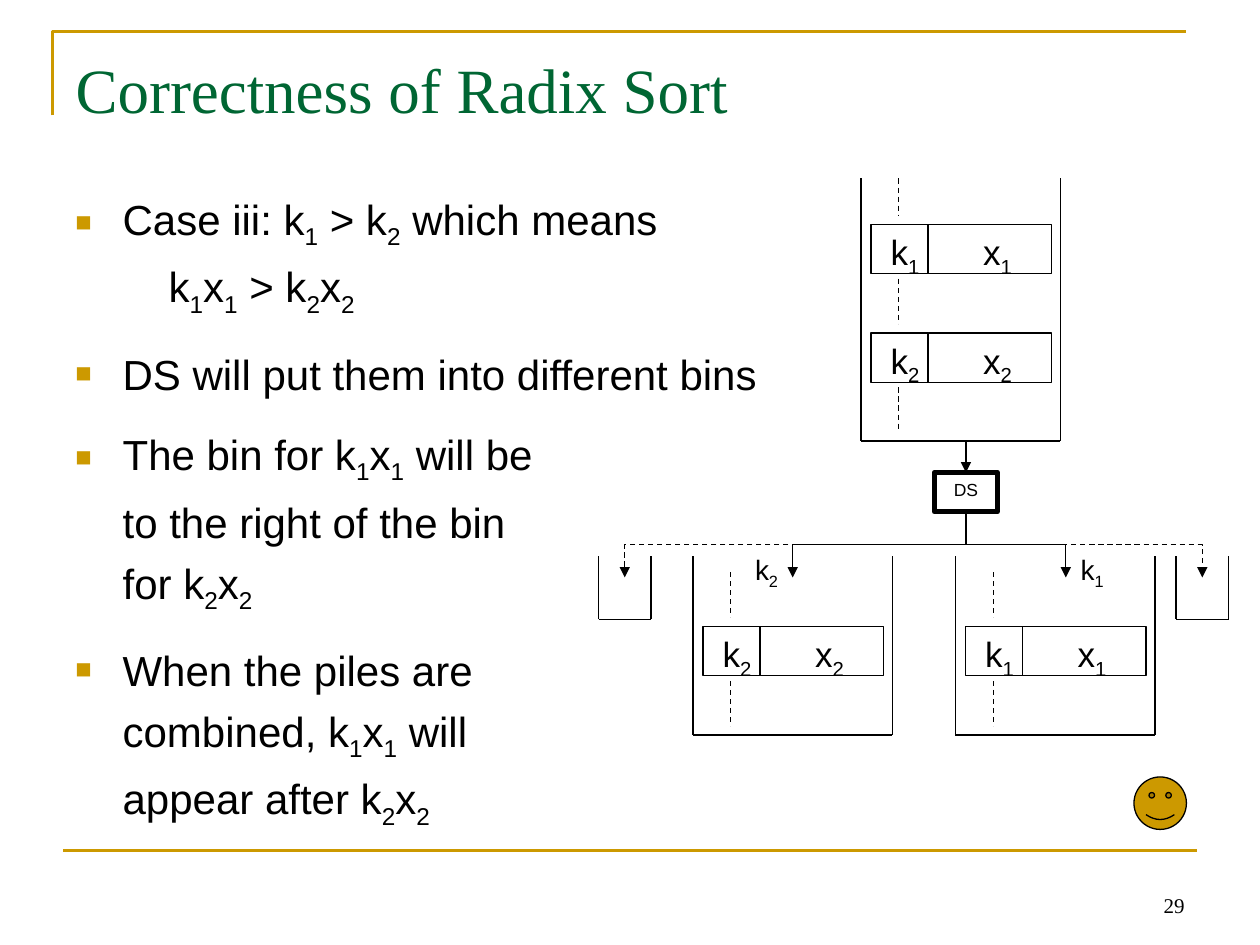
from typing import NamedTuple

from lxml.etree import SubElement
from pptx import Presentation
from pptx.dml.color import RGBColor
from pptx.enum.dml import MSO_LINE
from pptx.enum.shapes import MSO_CONNECTOR as Connector, MSO_SHAPE as Preset
from pptx.enum.text import MSO_ANCHOR as Anchor, MSO_AUTO_SIZE as AutoSize, PP_ALIGN as Align
from pptx.oxml.ns import qn
from pptx.util import Inches, Pt

COLUMNS, ROWS = 120, 90  # the slide is laid out on a grid of 1/12 inch cells
BLACK, GOLD, GREEN = "000000", "CC9900", "006633"
SANS, SERIF = "Arial", "Times New Roman"

BIN_WIDTH = 19
RECORD_INSET, RECORD_HEIGHT = 0.95, 4.7
KEY_WIDTH, VALUE_WIDTH = 5.45, 11.75
KEY_TEXT, VALUE_TEXT, CELL_TEXT_SIZE = 0.65, 9.45, 5.2
DASH_COLUMN, DASH_GAP = 3.6, 0.85
BRANCH_START, BRANCH_END = 49, 55


class Record(NamedTuple):
    top: float
    index: int


class Bin(NamedTuple):
    left: float
    top: float
    bottom: float
    width: float = BIN_WIDTH
    dash_start: float = 0
    records: tuple[Record, ...] = ()


class Branch(NamedTuple):
    column: float
    dashed: bool


class Line(NamedTuple):
    text: str
    bullet: bool = False
    indent: float = 0.375
    space: float = 6


BINS = [
    Bin(82, 17, 42, dash_start=17, records=(Record(21.35, 1), Record(31.7, 2))),
    Bin(91, 53, 70, dash_start=54.5, records=(Record(59.65, 1),)),
    Bin(57, 53, 59, width=5),
    Bin(112, 53, 59, width=5),
    Bin(66, 53, 70, dash_start=54.5, records=(Record(59.65, 2),)),
]
BRANCHES = [Branch(59.5, True), Branch(75.5, False), Branch(101.5, False), Branch(114.5, True)]
LINES = [
    Line("Case iii: k_1 > k_2 which means", True, space=0),
    Line("k_1x_1 > k_2x_2", indent=0.74),
    Line("DS will put them into different bins", True, space=17),
    Line("The bin for k_1x_1 will be", True, space=17),
    Line("to the right of the bin"),
    Line("for k_2x_2"),
    Line("When the piles are", True, space=17),
    Line("combined, k_1x_1 will"),
    Line("appear after k_2x_2"),
]


def grid(*cells: float) -> list[int]:
    return [Inches(cell / 12) for cell in cells]


def color(value: str) -> RGBColor:
    return RGBColor.from_string(value)


def add_text(paragraph, text: str, size: float, font: str = SANS, hue: str = BLACK) -> None:
    """Add runs; the character after each underscore becomes a subscript."""
    first, *rest = text.split("_")
    pieces = [(first, False)]
    for part in rest:
        pieces += [(part[0], True), (part[1:], False)]
    for piece, lowered in pieces:
        if not piece:
            continue
        run = paragraph.add_run()
        run.text = piece
        run.font.size, run.font.name = Pt(size), font
        run.font.color.rgb = color(hue)
        if lowered:
            run.font._element.set("baseline", "-25000")


def add_label(shapes, cells: tuple, text: str, size: float, wrap: bool = True,
              align=Align.CENTER, anchor=Anchor.TOP, font: str = SANS) -> None:
    text_frame = shapes.add_textbox(*grid(*cells)).text_frame
    text_frame.word_wrap = wrap
    text_frame.vertical_anchor = anchor
    text_frame.paragraphs[0].alignment = align
    add_text(text_frame.paragraphs[0], text, size, font)


def style_outline(shape, hue: str = BLACK, width: float = 0.75, fill: str = ""):
    shape.shadow.inherit = False
    shape.line.color.rgb, shape.line.width = color(hue), Pt(width)
    if fill:
        shape.fill.solid()
        shape.fill.fore_color.rgb = color(fill)
    else:
        shape.fill.background()
    return shape


def add_line(shapes, cells: tuple, hue: str = BLACK, width: float = 0.75,
             dashed: bool = False, arrow: bool = False, kind=Connector.STRAIGHT):
    connector = shapes.add_connector(kind, *grid(*cells))
    connector.line.color.rgb, connector.line.width = color(hue), Pt(width)
    if dashed:
        connector.line.dash_style = MSO_LINE.DASH
    properties = connector._element.spPr
    if arrow:
        SubElement(properties.find(qn("a:ln")), qn("a:tailEnd"), type="triangle")
    SubElement(properties, qn("a:effectLst"))
    return connector


def add_record(shapes, left: float, record: Record) -> None:
    top, index = record
    value_left = left + KEY_WIDTH
    for start, width in ((left, KEY_WIDTH), (value_left, VALUE_WIDTH)):
        style_outline(shapes.add_shape(Preset.RECTANGLE, *grid(start, top, width, RECORD_HEIGHT)))
    for name, offset in (("k", KEY_TEXT), ("x", VALUE_TEXT)):
        add_label(shapes, (left + offset, top, CELL_TEXT_SIZE, CELL_TEXT_SIZE),
                  f"{name}_{index}", 20, wrap=False)


def add_bin(slide, item: Bin) -> None:
    shapes = slide.shapes.add_group_shape().shapes
    right = item.left + item.width
    add_line(shapes, (item.left, item.top, item.left, item.bottom))
    add_line(shapes, (item.left, item.bottom, right, item.bottom))
    add_line(shapes, (right, item.top, right, item.bottom))
    if not item.records:
        return
    for record in item.records:
        add_record(shapes, item.left + RECORD_INSET, record)
    tops = [record.top for record in item.records]
    starts = [item.dash_start] + [top + CELL_TEXT_SIZE for top in tops]
    column = item.left + DASH_COLUMN
    for start, end in zip(starts, tops + [item.bottom]):
        add_line(shapes, (column, start, column, end - DASH_GAP), dashed=True)


def add_branch(shapes, source: float, branch: Branch) -> None:
    """Draw a down-across-down arrow as an elbow turned by a quarter."""
    drop, reach = BRANCH_END - BRANCH_START, abs(branch.column - source)
    middle_x, middle_y = (source + branch.column) / 2, (BRANCH_START + BRANCH_END) / 2
    connector = add_line(shapes, (middle_x - drop / 2, middle_y - reach / 2,
                                  middle_x + drop / 2, middle_y + reach / 2),
                         dashed=branch.dashed, arrow=True, kind=Connector.ELBOW)
    properties = connector._element.spPr
    rightward = branch.column > source
    frame = properties.find(qn("a:xfrm"))
    frame.set("rot", str((270 if rightward else 90) * 60000))
    if rightward:
        frame.set("flipH", "1")
    adjustments = properties.find(qn("a:prstGeom")).find(qn("a:avLst"))
    SubElement(adjustments, qn("a:gd"), name="adj1", fmla="val 47900")


def add_body(slide) -> None:
    text_frame = slide.shapes.add_textbox(*grid(6, 17.8, 108, 59.4)).text_frame
    text_frame.word_wrap = True
    for number, line in enumerate(LINES):
        paragraph = text_frame.paragraphs[0] if number == 0 else text_frame.add_paragraph()
        paragraph.space_before = Pt(line.space)
        properties = paragraph._p.get_or_add_pPr()
        properties.set("marL", str(Inches(line.indent)))
        properties.set("indent", str(-Inches(line.indent) if line.bullet else 0))
        if line.bullet:
            SubElement(SubElement(properties, qn("a:buClr")), qn("a:srgbClr"), val=GOLD)
            SubElement(properties, qn("a:buSzPct"), val="65000")
            SubElement(properties, qn("a:buFont"), typeface=SANS)
            SubElement(properties, qn("a:buChar"), char="■")
        add_text(paragraph, line.text, 24)


def add_title(slide) -> None:
    title = slide.shapes.title
    title.left, title.top, title.width, title.height = grid(6, 3.6, 108, 15)
    text_frame = title.text_frame
    text_frame.auto_size, text_frame.vertical_anchor = AutoSize.NONE, Anchor.TOP
    text_frame.margin_top = Inches(0.1)
    text_frame.paragraphs[0].alignment = Align.LEFT
    add_text(text_frame.paragraphs[0], "Correctness of Radix Sort", 36, SERIF, GREEN)


def add_frame(slide) -> None:
    builder = slide.shapes.build_freeform(*grid(5, 11))
    builder.add_line_segments([grid(5, 3), grid(113, 3)], close=False)
    style_outline(builder.convert_to_shape(), GOLD, 1.5)
    add_line(slide.shapes, (6, 81, 114, 81), GOLD, 1.5)
    add_label(slide.shapes, (86, 82, 28, 6), "29", 12, align=Align.RIGHT,
              anchor=Anchor.BOTTOM, font=SERIF)


def main() -> None:
    presentation = Presentation()
    presentation.slide_width, presentation.slide_height = grid(COLUMNS, ROWS)
    slide = presentation.slides.add_slide(presentation.slide_layouts[5])
    shapes = slide.shapes
    add_frame(slide)
    add_title(slide)
    add_body(slide)
    for item in BINS:
        add_bin(slide, item)

    sorter = style_outline(shapes.add_shape(Preset.RECTANGLE, *grid(89, 45, 6, 3.75)), width=3)
    sorter.text_frame.vertical_anchor = Anchor.TOP
    sorter.text_frame.paragraphs[0].alignment = Align.CENTER
    add_text(sorter.text_frame.paragraphs[0], "DS", 10)
    add_line(shapes, (92, 42, 92, 45), arrow=True).end_connect(sorter, 0)
    for branch in BRANCHES:
        add_branch(shapes, 92, branch)
    for column, text in ((68, "k_2"), (99, "k_1")):
        add_label(shapes, (column, 52, 10, 4.4), text, 16)
    smiley = shapes.add_shape(Preset.SMILEY_FACE, *grid(108, 74, 5, 5))
    style_outline(smiley, fill=GOLD)
    presentation.save("out.pptx")


if __name__ == "__main__":
    main()
